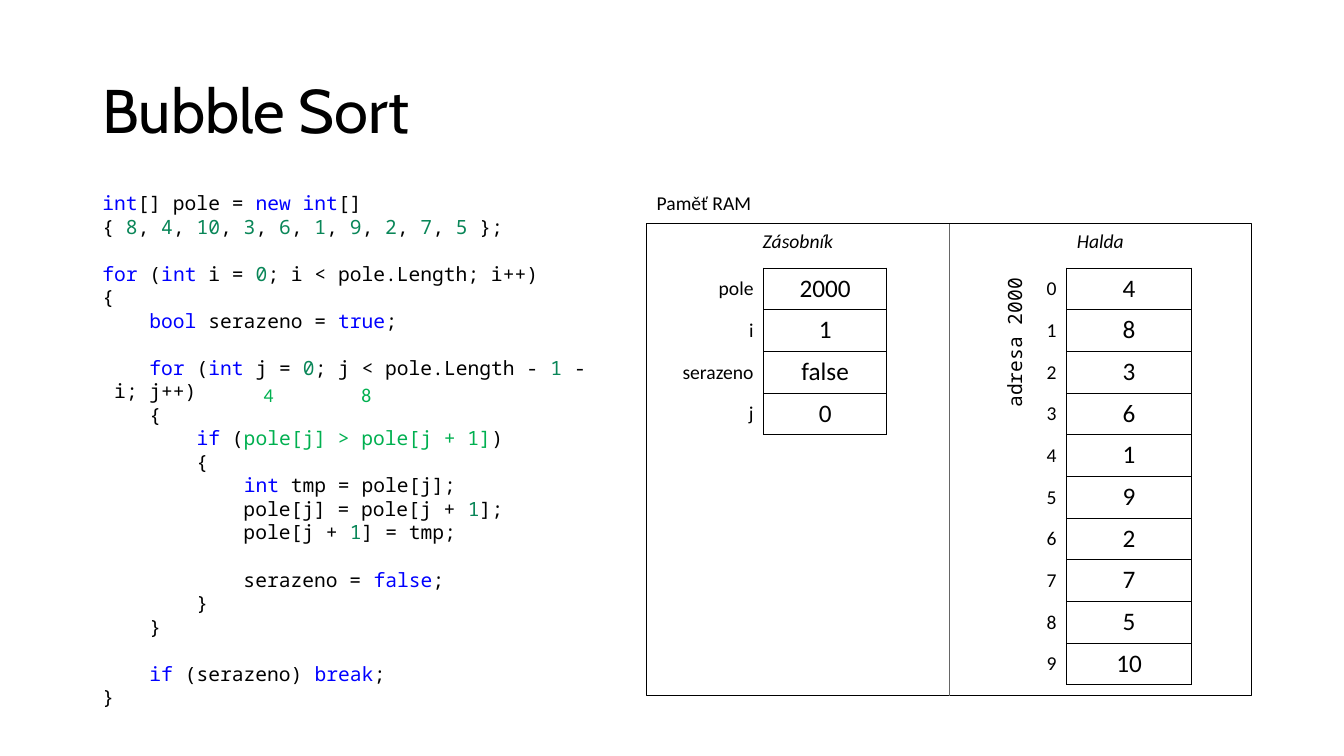
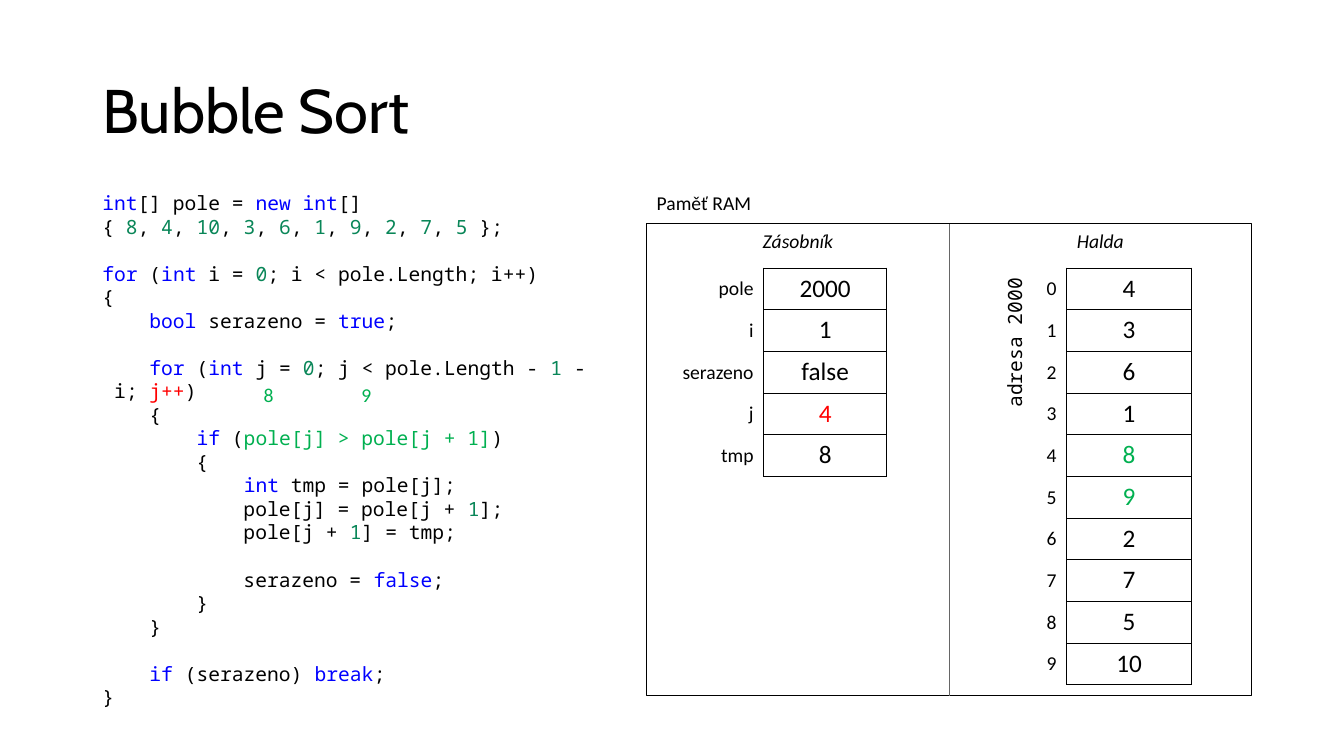
from collections.abc import Iterator
from dataclasses import dataclass
from typing import Any, NamedTuple

from lxml import etree
from pptx import Presentation
from pptx.dml.color import RGBColor
from pptx.enum.shapes import MSO_CONNECTOR, MSO_SHAPE
from pptx.enum.text import MSO_ANCHOR, MSO_AUTO_SIZE, PP_ALIGN
from pptx.oxml.ns import qn
from pptx.util import Inches, Pt

LEFT, CENTER, RIGHT = PP_ALIGN.LEFT, PP_ALIGN.CENTER, PP_ALIGN.RIGHT
TOP, MIDDLE = MSO_ANCHOR.TOP, MSO_ANCHOR.MIDDLE
FIT_TEXT, FIXED_SIZE = MSO_AUTO_SIZE.SHAPE_TO_FIT_TEXT, MSO_AUTO_SIZE.NONE
RECTANGLE, STRAIGHT = MSO_SHAPE.RECTANGLE, MSO_CONNECTOR.STRAIGHT

BLACK = RGBColor(0x00, 0x00, 0x00)
WHITE = RGBColor(0xFF, 0xFF, 0xFF)
DIVIDER_GRAY = RGBColor(0x66, 0x66, 0x66)
KEYWORD_BLUE = RGBColor(0x00, 0x00, 0xFF)
NUMBER_GREEN = RGBColor(0x09, 0x86, 0x58)
COMPARE_GREEN = RGBColor(0x00, 0xB0, 0x50)
CHANGE_RED = RGBColor(0xFF, 0x00, 0x00)

TITLE_FONT = {"name": "Cabin", "size": Pt(44)}
LABEL_FONT = {"name": "Calibri", "size": Pt(14)}
HEADING_FONT = LABEL_FONT | {"italic": True}
VALUE_FONT = LABEL_FONT | {"size": Pt(18)}
CODE_FONT = LABEL_FONT | {"name": "Noto Sans Mono"}

SLIDE_WIDTH, SLIDE_HEIGHT = 40 / 3, 7.5
MARGIN, COLUMN, ROW = 11 / 12, 0.5, 0.05
TABLE_TOP, CELL_ROWS, LABEL_ROWS = 53.2, 8.27, 6.8
CODE_GAP = Pt(16.8)
NO_BREAK_SPACE = chr(160)
CODE_MARKS = {"~": KEYWORD_BLUE, "#": NUMBER_GREEN, "$": COMPARE_GREEN}
INCREMENT_MARK = "@"

CODE = """\
~int~[] pole = ~new int~[]
{ #8#, #4#, #10#, #3#, #6#, #1#, #9#, #2#, #7#, #5# };

~for~ (~int~ i = #0#; i < pole.Length; i++)
{
    ~bool~ serazeno = ~true~;

    ~for~ (~int~ j = #0#; j < pole.Length - #1# - i; @j++@)
    {
        ~if~ ($pole[j] > pole[j + 1]$)
        {
            ~int~ tmp = pole[j];
            pole[j] = pole[j + #1#];
            pole[j + #1#] = tmp;

            serazeno = ~false~;
        }
    }

    ~if~ (serazeno) ~break~;
}"""


class Box(NamedTuple):
    column: float
    row: float
    columns: float
    rows: float

    def inches(self) -> tuple[int, int, int, int]:
        return (Inches(MARGIN + self.column * COLUMN), Inches(self.row * ROW),
                Inches(self.columns * COLUMN), Inches(self.rows * ROW))


class Entry(NamedTuple):
    label: str
    value: str
    color: RGBColor = BLACK


@dataclass(frozen=True)
class Step:
    variables: list[Entry]
    heap: list[int]
    compared: tuple[str, str]
    compared_cells: tuple[int, ...] = ()
    increment_color: RGBColor = BLACK

    def heap_entries(self) -> list[Entry]:
        return [Entry(str(index), str(value),
                      COMPARE_GREEN if index in self.compared_cells else BLACK)
                for index, value in enumerate(self.heap)]


TITLE = Box(0, 8, 23, 29)
CODE_AREA = Box(0, 36.9, 11, 101)
MEMORY = Box(11, 44.4, 12, 93.6)
MEMORY_LABEL = Box(11, 36.9, 12, LABEL_ROWS)
HALVES = {"Zásobník": 11, "Halda": 17}
ADDRESS = Box(15.7, 75.8, 5.2, LABEL_ROWS)
COMPARED = (Box(3.2, 75, 0.98, LABEL_ROWS), Box(5.14, 75, 1.1, LABEL_ROWS))
STACK_LEFT, STACK_COLUMNS = 11.5, (1.82, 2.44)
HEAP_LEFT, HEAP_COLUMNS = 18.69, (0.64, 2.48)

POINTER = Entry("pole", "2000")
STEPS = [
    Step([POINTER, Entry("i", "1"), Entry("serazeno", "false"), Entry("j", "0")],
         [4, 8, 3, 6, 1, 9, 2, 7, 5, 10], ("4", "8")),
    Step([POINTER, Entry("i", "1"), Entry("serazeno", "false"),
          Entry("j", "4", CHANGE_RED), Entry("tmp", "8")],
         [4, 3, 6, 1, 8, 9, 2, 7, 5, 10], ("8", "9"), (4, 5), CHANGE_RED),
]


def apply(target: Any, values: dict[str, Any]) -> None:
    for name, value in values.items():
        setattr(target, name, value)


def add_run(paragraph: Any, text: str, font: dict[str, Any], color: RGBColor) -> None:
    run = paragraph.add_run()
    run.text = text
    apply(run.font, font)
    run.font.color.rgb = color


def add_text(slide: Any, box: Box, text: str, font: dict[str, Any],
             align: PP_ALIGN = LEFT, color: RGBColor = BLACK) -> Any:
    area = slide.shapes.add_textbox(*box.inches())
    apply(area.text_frame, {"word_wrap": True, "auto_size": FIT_TEXT})
    paragraph = area.text_frame.paragraphs[0]
    paragraph.alignment = align
    if text:
        add_run(paragraph, text, font, color)
    return area


def add_title(slide: Any) -> None:
    frame = add_text(slide, TITLE, "Bubble Sort", TITLE_FONT).text_frame
    apply(frame, {"auto_size": FIXED_SIZE, "vertical_anchor": MIDDLE})
    frame.paragraphs[0].line_spacing = 0.9


def colored_parts(line: str, marks: dict[str, RGBColor]) -> Iterator[tuple[str, RGBColor]]:
    part, color, marked = "", BLACK, False
    for letter in line:
        if letter not in marks:
            part += letter
            continue
        if part:
            yield part, color
        marked = not marked
        part, color = "", marks[letter] if marked else BLACK
    if part:
        yield part, color


def add_code(slide: Any, increment_color: RGBColor) -> None:
    frame = add_text(slide, CODE_AREA, "", CODE_FONT).text_frame
    marks = CODE_MARKS | {INCREMENT_MARK: increment_color}
    paragraph = frame.paragraphs[0]
    for block_number, block in enumerate(CODE.split("\n\n")):
        for line_number, line in enumerate(block.split("\n")):
            if block_number or line_number:
                paragraph = frame.add_paragraph()
            if block_number and not line_number:
                paragraph.space_before = CODE_GAP
            for part, color in colored_parts(line.replace(" ", NO_BREAK_SPACE), marks):
                add_run(paragraph, part, CODE_FONT, color)


def add_borders(cell: Any, sides: str) -> None:
    properties = cell._tc.get_or_add_tcPr()
    for side in sides:
        border = etree.SubElement(properties, qn(f"a:ln{side}"), w=str(Pt(1)))
        fill = etree.SubElement(border, qn("a:solidFill"))
        etree.SubElement(fill, qn("a:srgbClr"), val=str(BLACK))


def fill_cell(cell: Any, text: str, font: dict[str, Any], color: RGBColor,
              align: PP_ALIGN, anchor: MSO_ANCHOR, sides: str) -> None:
    add_borders(cell, sides)
    cell.fill.background()
    cell.vertical_anchor = anchor
    paragraph = cell.text_frame.paragraphs[0]
    paragraph.alignment = align
    add_run(paragraph, text, font, color)


def add_cells(slide: Any, left: float, widths: tuple[float, float],
              entries: list[Entry]) -> None:
    box = Box(left, TABLE_TOP, sum(widths), CELL_ROWS * len(entries))
    table = slide.shapes.add_table(len(entries), len(widths), *box.inches()).table
    apply(table, {"first_row": False, "horz_banding": False})
    for column, width in zip(table.columns, widths):
        column.width = Inches(width * COLUMN)
    for index, entry in enumerate(entries):
        fill_cell(table.cell(index, 0), entry.label, LABEL_FONT, BLACK, RIGHT, MIDDLE, "R")
        fill_cell(table.cell(index, 1), entry.value, VALUE_FONT, entry.color,
                  CENTER, TOP, "LRTB")


def add_memory(slide: Any) -> None:
    panel = slide.shapes.add_shape(RECTANGLE, *MEMORY.inches())
    panel.shadow.inherit = False
    panel.fill.solid()
    panel.fill.fore_color.rgb = WHITE
    panel.line.color.rgb = BLACK
    panel.line.width = Pt(1)
    add_text(slide, MEMORY_LABEL, "Paměť RAM", LABEL_FONT)

    left, top, width, height = MEMORY.inches()
    middle = left + width // 2
    divider = slide.shapes.add_connector(STRAIGHT, middle, top + height, middle, top)
    divider.line.color.rgb = DIVIDER_GRAY
    divider.line.width = Pt(0.5)
    etree.SubElement(divider._element.spPr, qn("a:effectLst"))

    for heading, column in HALVES.items():
        add_text(slide, Box(column, MEMORY.row, MEMORY.columns / 2, LABEL_ROWS),
                 heading, HEADING_FONT, CENTER)


def add_step(slide: Any, step: Step) -> None:
    add_title(slide)
    add_memory(slide)
    add_code(slide, step.increment_color)
    add_text(slide, ADDRESS, "adresa 2000", CODE_FONT, RIGHT).rotation = 270
    add_cells(slide, HEAP_LEFT, HEAP_COLUMNS, step.heap_entries())
    add_cells(slide, STACK_LEFT, STACK_COLUMNS, step.variables)
    for box, value in zip(COMPARED, step.compared):
        add_text(slide, box, value, LABEL_FONT, color=COMPARE_GREEN)


def main() -> None:
    presentation = Presentation()
    apply(presentation, {"slide_width": Inches(SLIDE_WIDTH),
                         "slide_height": Inches(SLIDE_HEIGHT)})
    blank = presentation.slide_layouts[6]
    for step in STEPS:
        add_step(presentation.slides.add_slide(blank), step)
    presentation.save("out.pptx")


if __name__ == "__main__":
    main()
